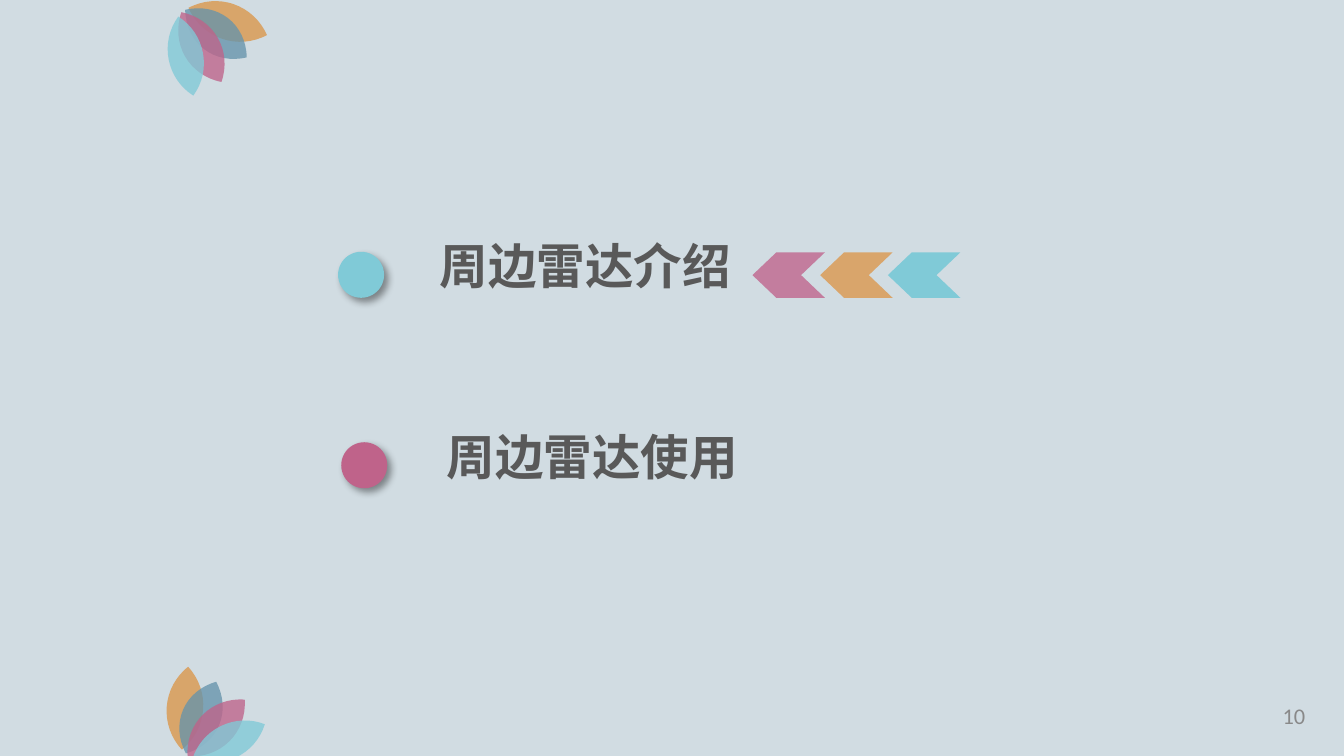
from lxml import etree
from pptx import Presentation
from pptx import util as u
from pptx.dml.color import RGBColor
from pptx.enum import shapes, text
from pptx.oxml.ns import qn

ORANGE, BLUE, PINK, CYAN = "DB9649", "6694AB", "BF638A", "80CAD7"
CJK_FONT = "Noto Sans CJK SC"

LEAF_STYLES = [
    (ORANGE, 0.69, 1.57),
    (BLUE, 0.74, 1.47),
    (PINK, 0.71, 1.52),
    (CYAN, 0.66, 1.52),
]
BOTTOM_FLOWER = [
    (3.15, 12.6, 184.3),
    (3.43, 12.83, 22.9),
    (3.73, 13, 45.3),
    (3.99, 13.26, 64.3),
]
TOP_FLOWER = [
    (3.96, -0.38, 289.1),
    (3.71, -0.1, 127.7),
    (3.45, 0.13, 150.1),
    (3.18, 0.3, 169.2),
]


def color(value):
    return RGBColor.from_string(value)


def style_shape(shape, fill, opacity=100):
    shape.shadow.inherit = False
    shape.fill.solid()
    shape.fill.fore_color.rgb = color(fill)
    shape.line.fill.background()
    if opacity < 100:
        rgb = shape._element.xpath(".//a:solidFill/a:srgbClr")[0]
        etree.SubElement(rgb, qn("a:alpha"), val=str(opacity * 1000))


def bend_segments(shape, corners):
    from_tip = [(0.64, 0.26), (1, 0.62)]
    to_tip = [(0, 0.38), (0.36, 0.74)]
    segments = shape._element.xpath(".//a:lnTo")
    for index, segment in enumerate(segments):
        start, end = corners[index], corners[index + 1]
        segment.tag = qn("a:cubicBezTo")
        for position, (across, down) in enumerate(to_tip if index % 2 else from_tip):
            x = start[0] + across * (end[0] - start[0])
            y = start[1] + down * (end[1] - start[1])
            control = etree.Element(qn("a:pt"), x=str(round(x)), y=str(round(y)))
            segment.insert(position, control)


def add_leaf(group, left, top, rotation, fill, width, height):
    left, top, width, height = map(u.Cm, (left, top, width, height))
    tip = (width // 2, 0)
    corners = [tip, (0, height // 2), (width // 2, height), (width, height // 2), tip]
    points = [(left + x, top + y) for x, y in corners]
    builder = group.shapes.build_freeform(*points[0])
    builder.add_line_segments(points[1:], close=True)
    leaf = builder.convert_to_shape()
    bend_segments(leaf, corners)
    leaf.rotation = rotation
    style_shape(leaf, fill, opacity=78)


def add_flower(slide, leaves):
    group = slide.shapes.add_group_shape()
    for place, style in zip(leaves, LEAF_STYLES):
        add_leaf(group, *place, *style)


def add_text(parent, content, left, top, width, height, *, font, size, fill,
             bold=False, align=text.PP_ALIGN.LEFT,
             anchor=text.MSO_ANCHOR.TOP, fit=text.MSO_AUTO_SIZE.NONE):
    box = parent.shapes.add_textbox(u.Cm(left), u.Cm(top), u.Cm(width), u.Cm(height))
    frame = box.text_frame
    frame.word_wrap = True
    frame.auto_size = fit
    frame.vertical_anchor = anchor
    paragraph = frame.paragraphs[0]
    paragraph.alignment = align
    run = paragraph.add_run()
    run.text = content
    run.font.name = font
    run.font.size = u.Pt(size)
    run.font.bold = bold
    run.font.color.rgb = color(fill)
    etree.SubElement(run.font._element, qn("a:ea"), typeface=font)


def add_dot(group, left, top, fill):
    dot = group.shapes.add_shape(
        shapes.MSO_SHAPE.OVAL, u.Cm(left), u.Cm(top), u.Cm(0.87), u.Cm(0.87))
    style_shape(dot, fill)
    effects = dot._element.spPr.find(qn("a:effectLst"))
    shadow = etree.SubElement(
        effects, qn("a:outerShdw"), blurRad=str(u.Pt(4)), dist=str(u.Pt(3)),
        dir=str(45 * 60000), algn="tl", rotWithShape="0")
    rgb = etree.SubElement(shadow, qn("a:srgbClr"), val="000000")
    etree.SubElement(rgb, qn("a:alpha"), val="40000")


def add_chevron(group, left, top, fill):
    chevron = group.shapes.add_shape(
        shapes.MSO_SHAPE.CHEVRON, u.Cm(left), u.Cm(top), u.Cm(1.37), u.Cm(0.86))
    chevron.adjustments[0] = 0.525
    chevron.rotation = 180
    style_shape(chevron, fill)


def add_topic(slide, title, left, top, dot_left, fill):
    group = slide.shapes.add_group_shape()
    add_text(group, title, left, top, 10, 1.37, font=CJK_FONT, size=26,
             fill="595959", bold=True, fit=text.MSO_AUTO_SIZE.SHAPE_TO_FIT_TEXT)
    add_dot(group, dot_left, top + 0.42, fill)


def main():
    presentation = Presentation()
    presentation.slide_width = u.Cm(25.4)
    presentation.slide_height = u.Cm(14.29)
    slide = presentation.slides.add_slide(presentation.slide_layouts[6])
    slide.background.fill.solid()
    slide.background.fill.fore_color.rgb = color("D1DCE2")

    add_flower(slide, BOTTOM_FLOWER)
    add_flower(slide, TOP_FLOWER)
    add_topic(slide, "周边雷达介绍", 8.06, 4.34, 6.39, CYAN)
    add_topic(slide, "周边雷达使用", 8.19, 7.94, 6.45, PINK)
    arrows = slide.shapes.add_group_shape()
    for index, fill in enumerate([CYAN, "D9A56B", "C37D9E"]):
        add_chevron(arrows, 16.78 - 1.28 * index, 4.77, fill)
    add_text(slide, "10", 23.09, 13.14, 1.83, 0.76, font="Calibri", size=12,
             fill="898989", align=text.PP_ALIGN.RIGHT,
             anchor=text.MSO_ANCHOR.MIDDLE)

    presentation.save("out.pptx")


if __name__ == "__main__":
    main()
